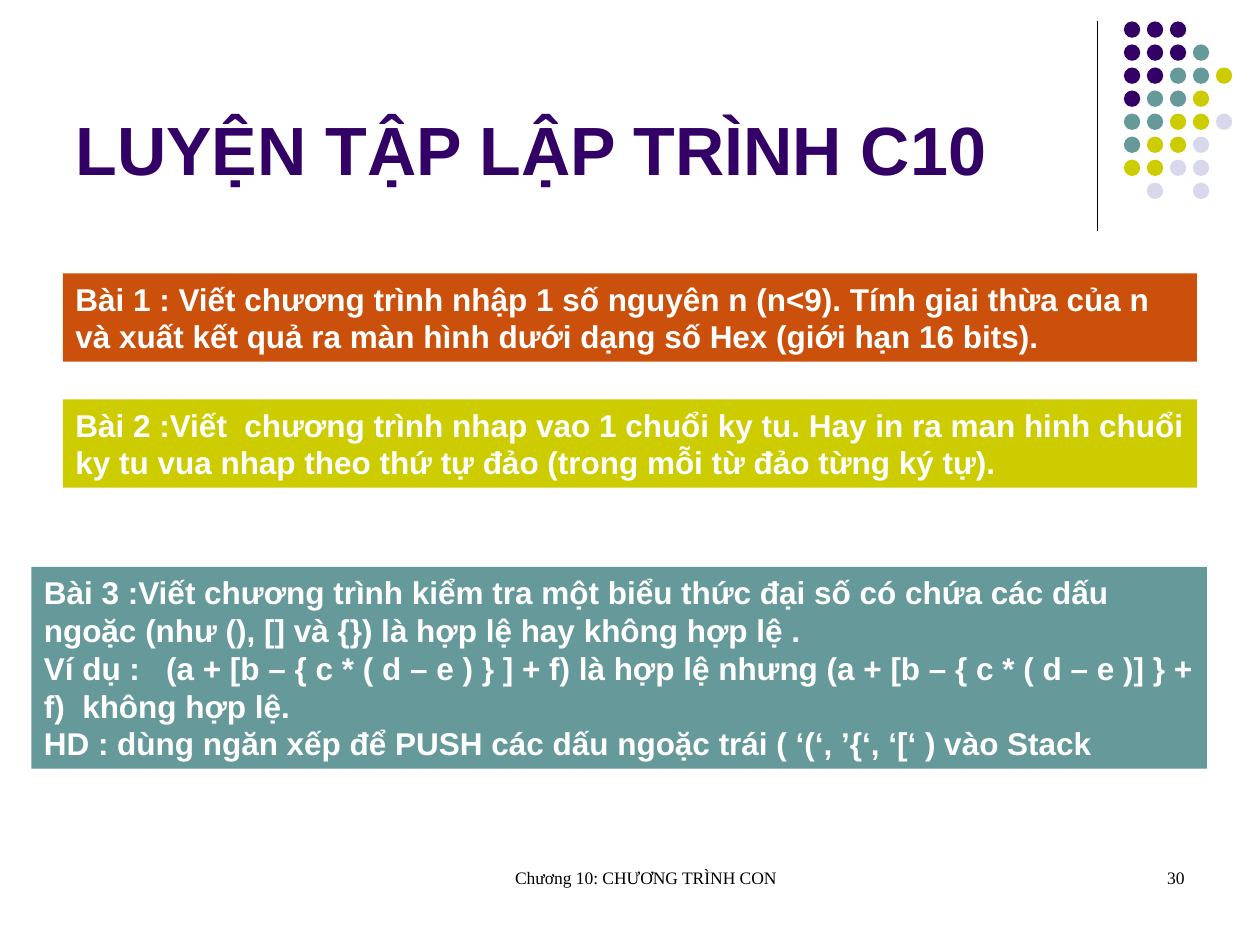
from lxml.etree import SubElement
from pptx import Presentation
from pptx.dml.color import RGBColor
from pptx.enum.shapes import MSO_CONNECTOR, MSO_SHAPE
from pptx.enum.text import MSO_ANCHOR, PP_ALIGN
from pptx.oxml.ns import qn
from pptx.util import Inches, Pt

PURPLE = RGBColor(0x33, 0x00, 0x66)
TEAL = RGBColor(0x66, 0x99, 0x99)
LIME = RGBColor(0xCC, 0xCC, 0x00)
LAVENDER = RGBColor(0xD8, 0xD8, 0xEC)
ORANGE = RGBColor(0xCB, 0x50, 0x0B)
WHITE = RGBColor(0xFF, 0xFF, 0xFF)
BLACK = RGBColor(0x00, 0x00, 0x00)

TITLE_FORMAT = {"name": "Arial", "size": Pt(39), "bold": True}
EXERCISE_FORMAT = {"name": "Arial", "size": Pt(18), "bold": True}
FOOTER_FORMAT = {"name": "Times New Roman", "size": Pt(10), "bold": False}

DOT_COLORS = {"P": PURPLE, "T": TEAL, "L": LIME, "V": LAVENDER}
DOT_ROWS = ["PPP", "PPPT", "PPTTL", "PTTL", "TTLLV", "TLLV", "LLVV", ".V.V"]

EXERCISES = [
    ((0.5, 2.17, 9, 0.7), ORANGE, [
        "Bài 1 : Viết chương trình nhập 1 số nguyên n (n<9). Tính giai thừa của n "
        "và xuất kết quả ra màn hình dưới dạng số Hex (giới hạn 16 bits).",
    ]),
    ((0.5, 3.17, 9, 0.7), LIME, [
        "Bài 2 :Viết  chương trình nhap vao 1 chuổi ky tu. Hay in ra man hinh chuổi "
        "ky tu vua nhap theo thứ tự đảo (trong mỗi từ đảo từng ký tự).",
    ]),
    ((0.25, 4.5, 9.33, 1.6), TEAL, [
        "Bài 3 :Viết chương trình kiểm tra một biểu thức đại số có chứa các dấu "
        "ngoặc (như (), [] và {}) là hợp lệ hay không hợp lệ .",
        "Ví dụ :   (a + [b – { c * ( d – e ) } ] + f) là hợp lệ nhưng "
        "(a + [b – { c * ( d – e )] } + f)  không hợp lệ.",
        "HD : dùng ngăn xếp để PUSH các dấu ngoặc trái ( ‘(‘, ’{‘, ‘[‘ ) vào Stack",
    ]),
]


def write_text(frame, lines, font_format, color, align=PP_ALIGN.LEFT, anchor=MSO_ANCHOR.TOP):
    frame.word_wrap = True
    frame.vertical_anchor = anchor
    for index, line in enumerate(lines):
        paragraph = frame.paragraphs[0] if index == 0 else frame.add_paragraph()
        paragraph.alignment = align
        run = paragraph.add_run()
        run.text = line
        for attribute, value in font_format.items():
            setattr(run.font, attribute, value)
        run.font.color.rgb = color


def add_filled(slide, preset, box, color):
    shape = slide.shapes.add_shape(preset, *box)
    shape.shadow.inherit = False
    shape.fill.solid()
    shape.fill.fore_color.rgb = color
    shape.line.fill.background()
    return shape


def add_divider(slide, box):
    left, top, width, height = map(Inches, box)
    divider = slide.shapes.add_connector(
        MSO_CONNECTOR.STRAIGHT, left, top, left + width, top + height)
    divider.line.color.rgb = BLACK
    divider.line.width = Pt(0.75)
    SubElement(divider._element.spPr, qn("a:effectLst"))


def add_dot_pattern(slide, box):
    left, top, width, height = map(Inches, box)
    diameter = Inches(0.13)
    column_step = (width - diameter) // (max(map(len, DOT_ROWS)) - 1)
    row_step = (height - diameter) // (len(DOT_ROWS) - 1)
    for row, codes in enumerate(DOT_ROWS):
        for column, code in enumerate(codes):
            if code in DOT_COLORS:
                dot_box = (left + column * column_step, top + row * row_step, diameter, diameter)
                add_filled(slide, MSO_SHAPE.OVAL, dot_box, DOT_COLORS[code])


def add_title(slide, box):
    title = slide.shapes.add_textbox(*map(Inches, box))
    write_text(title.text_frame, ["LUYỆN TẬP LẬP TRÌNH C10"], TITLE_FORMAT, PURPLE,
               anchor=MSO_ANCHOR.BOTTOM)


def add_exercise(slide, box, color, lines):
    panel = add_filled(slide, MSO_SHAPE.RECTANGLE, map(Inches, box), color)
    write_text(panel.text_frame, lines, EXERCISE_FORMAT, WHITE)


def add_footer(slide, box, text, align):
    footer = slide.shapes.add_textbox(*map(Inches, box))
    write_text(footer.text_frame, [text], FOOTER_FORMAT, BLACK, align)
    properties = footer.text_frame.paragraphs[0]._p.get_or_add_pPr()
    properties.set("marL", str(Inches(0.24)))
    properties.set("indent", "0")


def main():
    presentation = Presentation()
    presentation.slide_width = Inches(10)
    presentation.slide_height = Inches(7.5)
    slide = presentation.slides.add_slide(presentation.slide_layouts[6])

    add_divider(slide, (8.71, 0.17, 0, 1.66))
    add_dot_pattern(slide, (8.92, 0.17, 0.86, 1.41))
    add_title(slide, (0.5, 0.13, 8.25, 1.42))
    for box, color, lines in EXERCISES:
        add_exercise(slide, box, color, lines)
    add_footer(slide, (3.42, 6.83, 3.17, 0.5), "Chương 10: CHƯƠNG TRÌNH CON", PP_ALIGN.CENTER)
    add_footer(slide, (7.17, 6.83, 2.33, 0.5), "30", PP_ALIGN.RIGHT)

    presentation.save("out.pptx")


if __name__ == "__main__":
    main()
